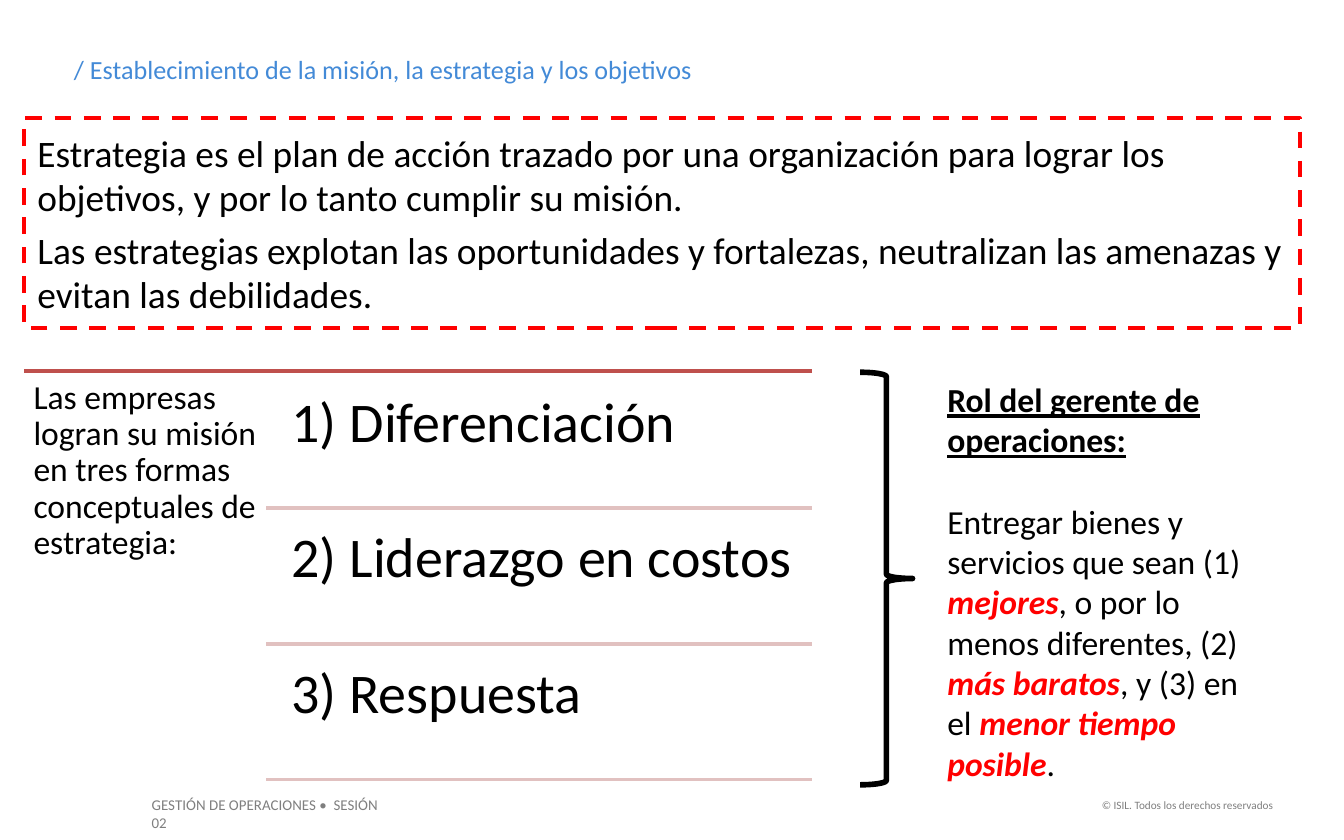
import pptx
import pptx.dml.color
import pptx.enum.dml
import pptx.enum.shapes
import pptx.enum.text
import pptx.oxml
import pptx.util
from pptx.util import Inches

ALIGN = pptx.enum.text.PP_ALIGN
ANCHOR = pptx.enum.text.MSO_ANCHOR
SHAPE = pptx.enum.shapes.MSO_SHAPE
BLACK, RED, GRAY = "000000", "FF0000", "7F7F7F"
EMPHASIS = dict(color=RED, bold=True, italic=True)


def rgb(value):
    """Turn a hex string into a colour."""
    return pptx.dml.color.RGBColor.from_string(value)


def set_line(line, color, width, dash=None):
    """Set the colour, width and dash of a line."""
    line.color.rgb = rgb(color)
    line.width = pptx.util.Pt(width)
    if dash is not None:
        line.dash_style = dash


def add_run(p, text, size, color=BLACK, bold=False, italic=False, underline=False):
    """Add one formatted run to a paragraph."""
    r = p.add_run()
    r.text = text
    font = r.font
    font.name, font.size, font.color.rgb = "Calibri", pptx.util.Pt(size), rgb(color)
    font.bold, font.italic, font.underline = bold, italic, underline


def fill_text(sp, paragraphs, size, color=BLACK, margins=(0.1, 0.05), align=ALIGN.LEFT,
              spacing=1.0, before=0, anchor=ANCHOR.TOP):
    """Write paragraphs, each a list of (text, format) runs, into a shape."""
    tf = sp.text_frame
    tf.word_wrap = True
    tf.auto_size = pptx.enum.text.MSO_AUTO_SIZE.NONE
    tf.vertical_anchor = anchor
    tf.margin_left = tf.margin_right = Inches(margins[0])
    tf.margin_top = tf.margin_bottom = Inches(margins[1])
    for i, runs in enumerate(paragraphs):
        p = tf.add_paragraph() if i else tf.paragraphs[0]
        p.alignment, p.line_spacing = align, spacing
        p.space_before = pptx.util.Pt(before if i else 0)
        for text, style in runs:
            add_run(p, text, size, **{"color": color, **style})


def add_title(s, text):
    """Place and format the title placeholder."""
    sp = s.shapes.title
    sp.left, sp.top, sp.width, sp.height = map(Inches, (0.45, 0.35, 7.88, 0.34))
    fill_text(sp, [[(text, {})]], 14, "438AD7")


def add_text(s, box, paragraphs, size, **options):
    """Add a text box."""
    fill_text(s.shapes.add_textbox(*map(Inches, box)), paragraphs, size, **options)


def add_outline(s, kind, box, color, width, dash=None):
    """Add an unfilled preset shape."""
    sp = s.shapes.add_shape(kind, *map(Inches, box))
    sp.shadow.inherit = False
    sp.fill.background()
    set_line(sp.line, color, width, dash)
    return sp


def add_rule(s, left, right, y, color):
    """Add a horizontal line without shadow."""
    line = s.shapes.add_connector(pptx.enum.shapes.MSO_CONNECTOR.STRAIGHT,
                                  *map(Inches, (left, y, right, y)))
    set_line(line.line, color, 2)
    line._element.spPr.append(pptx.oxml.parse_xml(
        '<a:effectLst xmlns:a="http://schemas.openxmlformats.org/drawingml/2006/main"/>'))


def add_strategies(s):
    """Add the lead-in and the ruled list of strategies."""
    top, pitch, right = 2.76, 1.01, 6.04
    add_rule(s, 0.18, right, top, "BF504D")
    lead = "Las empresas logran su misión en tres formas conceptuales de estrategia:"
    add_text(s, (0.18, top, 1.8, 3.09), [[(lead, {})]], 18, margins=(0.07, 0.07), spacing=0.9)
    names = ["1) Diferenciación", "2) Liderazgo en costos", "3) Respuesta"]
    for i, name in enumerate(names):
        y = top + i * pitch
        add_text(s, (2.05, y + 0.05, 3.99, 0.97), [[(name, {})]], 30,
                 margins=(0.12, 0.12), spacing=0.9)
        add_rule(s, 1.98, right, y + pitch + 0.01, "E1C1C0")


def add_manager_role(s):
    """Add the brace and the role of the operations manager."""
    brace = add_outline(s, SHAPE.RIGHT_BRACE, (6.4, 2.77, 0.39, 3.07), BLACK, 3)
    brace.adjustments[0], brace.adjustments[1] = 0.083, 0.5
    heading = [("Rol del gerente de operaciones:", dict(bold=True, underline=True))]
    body = [
        ("Entregar bienes y servicios que sean (1) ", {}),
        ("mejores", EMPHASIS),
        (", o por lo menos diferentes, (2) ", {}),
        ("más baratos", EMPHASIS),
        (", y (3) en el ", {}),
        ("menor tiempo posible", EMPHASIS),
        (".", {}),
    ]
    add_text(s, (6.95, 2.77, 2.52, 3.13), [heading, body], 18, before=22)


def main():
    """Build and save the slide."""
    prs = pptx.Presentation()
    prs.slide_width, prs.slide_height = Inches(10), Inches(6.25)
    s = prs.slides.add_slide(prs.slide_layouts[5])
    add_title(s, "/ Establecimiento de la misión, la estrategia y los objetivos")
    definition = add_outline(s, SHAPE.RECTANGLE, (0.18, 0.88, 9.49, 1.56), RED, 2.25,
                             pptx.enum.dml.MSO_LINE.DASH)
    fill_text(definition, [
        [("Estrategia es el plan de acción trazado por una organización para lograr los "
          "objetivos, y por lo tanto cumplir su misión.", {})],
        [("Las estrategias explotan las oportunidades y fortalezas, neutralizan las "
          "amenazas y evitan las debilidades.", {})],
    ], 20, before=4, anchor=ANCHOR.MIDDLE)
    add_strategies(s)
    add_manager_role(s)
    add_text(s, (1.03, 5.87, 2.02, 0.24),
             [[("GESTIÓN DE OPERACIONES •  SESIÓN 02", {})]], 8, color=GRAY)
    add_text(s, (8.03, 5.89, 1.54, 0.2),
             [[("© ISIL. Todos los derechos reservados", {})]], 6, color=GRAY, align=ALIGN.RIGHT)
    prs.save("out.pptx")


if __name__ == "__main__":
    main()
